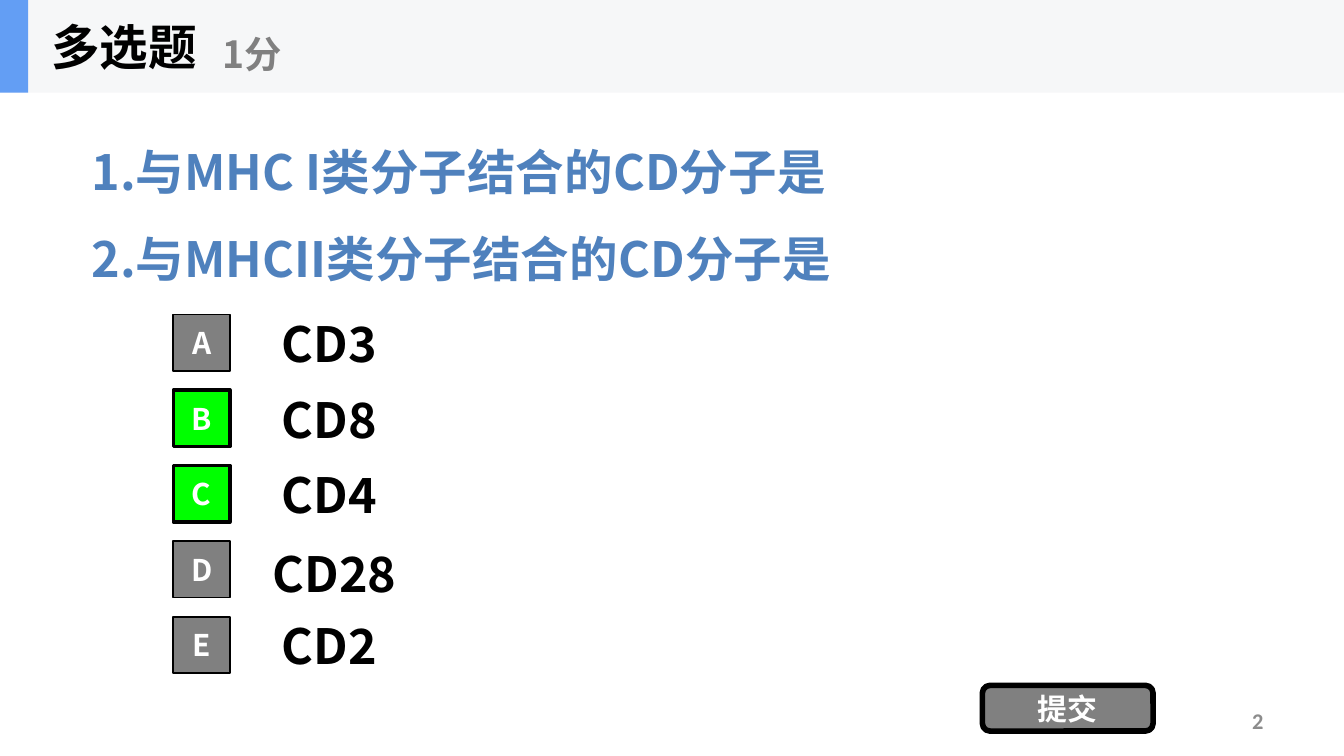
from lxml import etree
from pptx import Presentation
from pptx.dml.color import RGBColor
from pptx.enum.shapes import MSO_SHAPE
from pptx.enum.text import MSO_ANCHOR, MSO_AUTO_SIZE, PP_ALIGN
from pptx.oxml.ns import qn
from pptx.util import Inches, Pt

RECT, ROUND = MSO_SHAPE.RECTANGLE, MSO_SHAPE.ROUNDED_RECTANGLE
LEFT, CENTER, RIGHT = PP_ALIGN.LEFT, PP_ALIGN.CENTER, PP_ALIGN.RIGHT
MIDDLE = MSO_ANCHOR.MIDDLE
NO_FIT = MSO_AUTO_SIZE.NONE

BLACK = RGBColor(0x00, 0x00, 0x00)
WHITE = RGBColor(0xFF, 0xFF, 0xFF)
GRAY = RGBColor(0x80, 0x80, 0x80)
PAGE_GRAY = RGBColor(0x8C, 0x8C, 0x8C)
GREEN = RGBColor(0x00, 0xFF, 0x00)
BLUE = RGBColor(0x4F, 0x81, 0xBD)
BAR = RGBColor(0xF6, 0xF7, 0xF8)
ACCENT = RGBColor(0x63, 0x9E, 0xF4)
CJK = "Noto Sans CJK SC"

QUESTIONS = ["1.与MHC I类分子结合的CD分子是", "2.与MHCII类分子结合的CD分子是"]
OPTIONS = [
    ("A", "CD3", False, 0, 0),
    ("B", "CD8", True, 0, 0),
    ("C", "CD4", True, 0, 0),
    ("D", "CD28", False, -0.07, 0.02),
    ("E", "CD2", False, 0, 0),
]


def place(sp, x, y, w, h):
    sp.left, sp.top, sp.width, sp.height = map(Inches, (x, y, w, h))


def write(sp, lines, size, color, align=LEFT, font=CJK, spacing=1.0):
    tf = sp.text_frame
    tf.word_wrap = True
    tf.auto_size = NO_FIT
    tf.vertical_anchor = MIDDLE
    for i, line in enumerate(lines):
        p = tf.paragraphs[0] if i == 0 else tf.add_paragraph()
        p.alignment = align
        p.line_spacing = spacing
        p.space_before = Pt(0)
        r = p.add_run()
        r.text = line
        r.font.size = Pt(size)
        r.font.bold = True
        r.font.color.rgb = color
        r.font.name = font
        etree.SubElement(r._r.get_or_add_rPr(), qn("a:ea"), typeface=font)


def add_text(s, x, y, w, h, text, size, color, **style):
    sp = s.shapes.add_textbox(*map(Inches, (x, y, w, h)))
    write(sp, [text], size, color, **style)


def add_box(s, kind, x, y, w, h, fill, line=0):
    sp = s.shapes.add_shape(kind, *map(Inches, (x, y, w, h)))
    sp.shadow.inherit = False
    sp.fill.solid()
    sp.fill.fore_color.rgb = fill
    if line:
        sp.line.color.rgb = BLACK
        sp.line.width = Pt(line)
    else:
        sp.line.fill.background()
    return sp


def add_header(s, x, y, w, h):
    add_box(s, RECT, x, y, w, h, BAR)
    add_box(s, RECT, x, y, 0.21, h, ACCENT)
    title = s.shapes.title
    title.element.getparent().append(title.element)
    place(title, x + 0.28, y, 2.08, h)
    write(title, ["多选题"], 26, BLACK)
    add_text(s, x + 1.56, y + 0.12, 2.5, 0.56, "1分", 20, GRAY)


def add_questions(s, x, y, w, h):
    body = s.placeholders[1]
    place(body, x, y, w, h)
    write(body, QUESTIONS, 26, BLUE, spacing=1.5)
    for p in body.text_frame.paragraphs:
        pPr = p._p.get_or_add_pPr()
        pPr.set("marL", "0")
        pPr.set("indent", "0")
        etree.SubElement(pPr, qn("a:buNone"))


def add_options(s, x, y, w, h):
    pitch = h / len(OPTIONS)
    for i, (letter, label, correct, dx, dy) in enumerate(OPTIONS):
        top = y + i * pitch
        sp = add_box(s, RECT, x, top + 0.05, 0.42, 0.42,
                     GREEN if correct else GRAY, 2 if correct else 1)
        write(sp, [letter], 16, WHITE, align=CENTER)
        add_text(s, x + 0.71 + dx, top + dy, w - 0.71, 0.53, label, 26, BLACK)


def add_footer(s, x, y, w, h):
    sp = add_box(s, ROUND, x, y, 1.27, h, GRAY, 3)
    write(sp, ["提交"], 16, WHITE, align=CENTER)
    add_text(s, x, y + 0.11, w, 0.3, "2", 12, PAGE_GRAY,
             align=RIGHT, font="Calibri")


def main():
    prs = Presentation()
    prs.slide_width = Inches(10)
    prs.slide_height = prs.slide_width * 9 // 16
    s = prs.slides.add_slide(prs.slide_layouts[1])
    add_header(s, 0, 0, 10, 0.69)
    add_questions(s, 0.58, 0.61, 8, 1.76)
    add_options(s, 1.29, 2.29, 7.71, 2.81)
    add_footer(s, 7.31, 5.1, 2.19, 0.34)
    prs.save("out.pptx")


if __name__ == "__main__":
    main()
